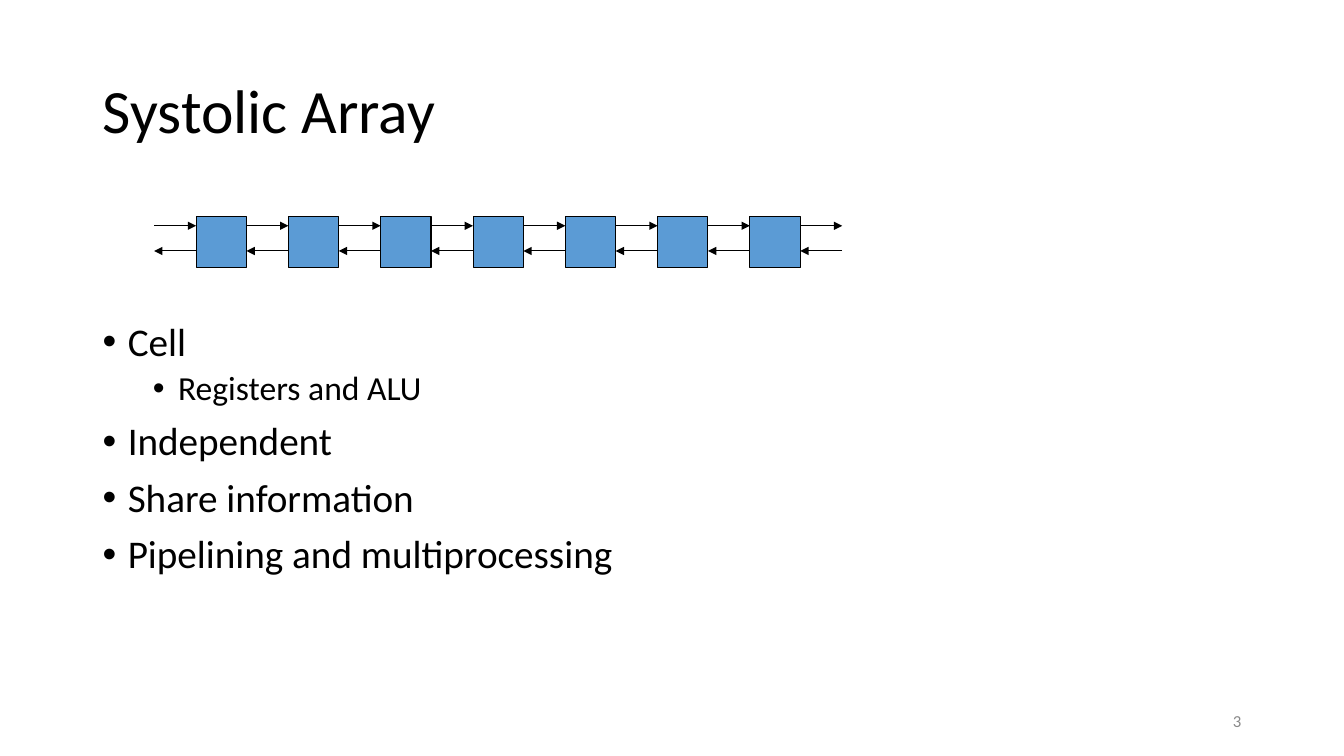
from lxml import etree
from pptx import Presentation
from pptx.dml.color import RGBColor
from pptx.enum.shapes import MSO_CONNECTOR, MSO_SHAPE
from pptx.enum.text import MSO_ANCHOR, PP_ALIGN
from pptx.oxml.ns import qn
from pptx.util import Inches, Pt

RECTANGLE = MSO_SHAPE.RECTANGLE
STRAIGHT = MSO_CONNECTOR.STRAIGHT
MIDDLE = MSO_ANCHOR.MIDDLE
LEFT, RIGHT = PP_ALIGN.LEFT, PP_ALIGN.RIGHT

BLACK = RGBColor(0x00, 0x00, 0x00)
BLUE = RGBColor(0x5B, 0x9B, 0xD5)
GRAY = RGBColor(0x89, 0x89, 0x89)
FONT = "Calibri"
LINE_WIDTH = Pt(0.75)

WIDTH, HEIGHT = Inches(13.34), Inches(7.5)
MARGIN = Inches(0.92)
CONTENT_WIDTH = WIDTH - 2 * MARGIN

CELL_COUNT = 7
CELL_TO_GAP = 1.2  # a cell is 1.2 times as wide as the gap beside it
TOPICS = [
    ("Cell", 0),
    ("Registers and ALU", 1),
    ("Independent", 0),
    ("Share information", 0),
    ("Pipelining and multiprocessing", 0),
]
LEVEL_SIZES = [28, 24]
LEVEL_SPACING = [10, 5]


def style(paragraph, size, color=BLACK, align=LEFT):
    paragraph.alignment = align
    paragraph.font.name = FONT
    paragraph.font.size = Pt(size)
    paragraph.font.color.rgb = color


def add_bullet(paragraph, level):
    properties = paragraph._p.get_or_add_pPr()
    properties.set("marL", str(Inches(0.25 + 0.5 * level)))
    properties.set("indent", str(-Inches(0.25)))
    font = etree.SubElement(properties, qn("a:buFont"))
    font.set("typeface", "Arial")
    bullet = etree.SubElement(properties, qn("a:buChar"))
    bullet.set("char", "•")


def set_title(slide, left, top, width, height):
    title = slide.shapes.title
    title.left, title.top, title.width, title.height = left, top, width, height
    title.text_frame.text = "Systolic Array"
    title.text_frame.vertical_anchor = MIDDLE
    paragraph = title.text_frame.paragraphs[0]
    paragraph.line_spacing = 0.9
    style(paragraph, 44)


def add_arrow(slide, start, end, y):
    arrow = slide.shapes.add_connector(STRAIGHT, start, y, end, y)
    arrow.line.color.rgb = BLACK
    arrow.line.width = LINE_WIDTH
    head = etree.SubElement(arrow.line._get_or_add_ln(), qn("a:tailEnd"))
    head.set("type", "triangle")
    etree.SubElement(arrow._element.spPr, qn("a:effectLst"))


def add_systolic_array(slide, left, top, width, height):
    """Cells in a row, with a gap before, between and after them for the arrows."""
    gap = width / (CELL_COUNT * (CELL_TO_GAP + 1) + 1)
    cell_width = CELL_TO_GAP * gap
    pitch = cell_width + gap
    for column in range(CELL_COUNT):
        cell = slide.shapes.add_shape(
            RECTANGLE, round(left + gap + column * pitch), top, round(cell_width), height)
        cell.shadow.inherit = False
        cell.fill.solid()
        cell.fill.fore_color.rgb = BLUE
        cell.line.color.rgb = BLACK
        cell.line.width = LINE_WIDTH
    for column in range(CELL_COUNT + 1):
        gap_left = round(left + column * pitch)
        gap_right = round(gap_left + gap)
        add_arrow(slide, gap_left, gap_right, round(top + height * 0.18))
        add_arrow(slide, gap_right, gap_left, round(top + height * 0.68))


def add_topics(slide, left, top, width, height):
    frame = slide.shapes.add_textbox(left, top, width, height).text_frame
    frame.word_wrap = True
    for index, (topic, level) in enumerate(TOPICS):
        paragraph = frame.add_paragraph() if index else frame.paragraphs[0]
        paragraph.text = topic
        paragraph.level = level
        paragraph.line_spacing = 0.9
        paragraph.space_before = Pt(LEVEL_SPACING[level] if index else 0)
        add_bullet(paragraph, level)
        style(paragraph, LEVEL_SIZES[level])


def add_slide_number(slide, left, top, width, height):
    frame = slide.shapes.add_textbox(left, top, width, height).text_frame
    frame.word_wrap = True
    frame.vertical_anchor = MIDDLE
    frame.text = "3"
    style(frame.paragraphs[0], 12, GRAY, RIGHT)


def main():
    presentation = Presentation()
    presentation.slide_width, presentation.slide_height = WIDTH, HEIGHT
    slide = presentation.slides.add_slide(presentation.slide_layouts[5])
    set_title(slide, MARGIN, Inches(0.4), CONTENT_WIDTH, Inches(1.45))
    add_topics(slide, MARGIN, Inches(3.15), CONTENT_WIDTH, Inches(3.6))
    number_width = Inches(3)
    add_slide_number(slide, WIDTH - MARGIN - number_width, Inches(6.95),
                     number_width, Inches(0.4))
    add_systolic_array(slide, Inches(1.53), Inches(2.15), Inches(6.83), Inches(0.5))
    presentation.save("out.pptx")


if __name__ == "__main__":
    main()
